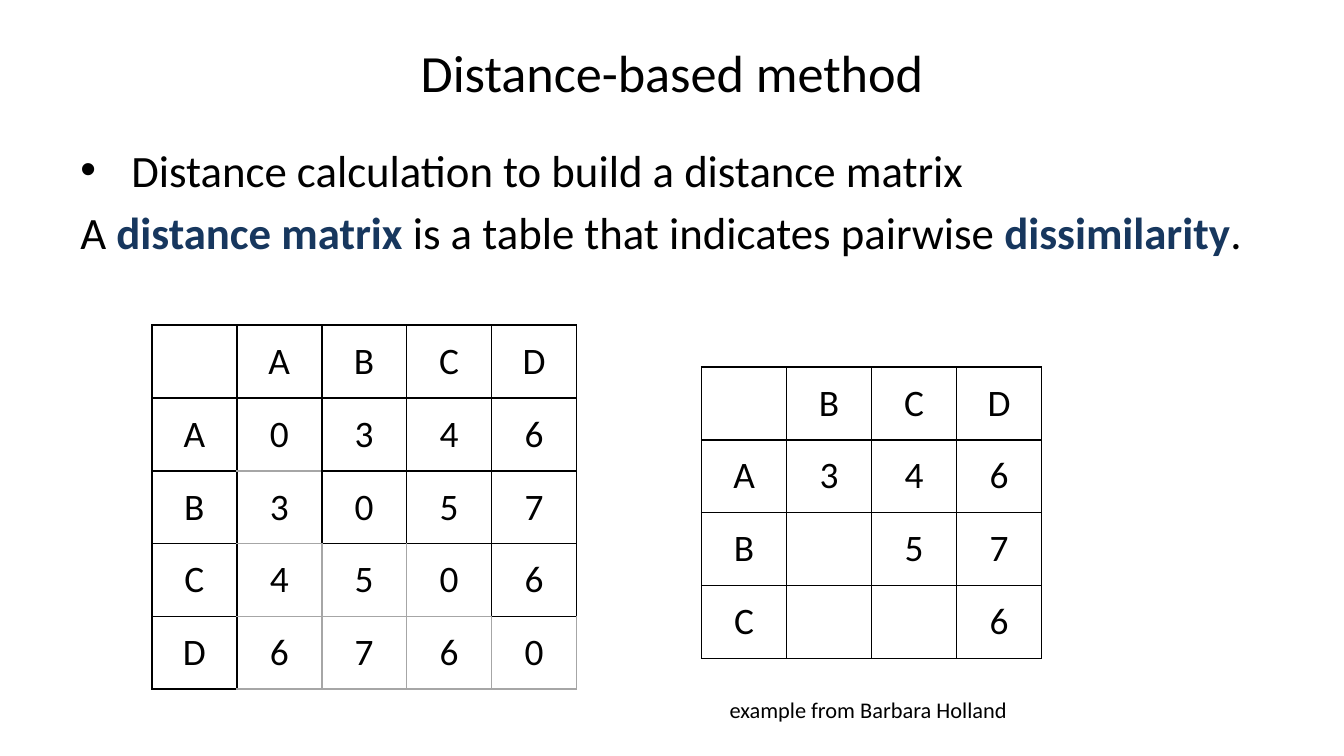
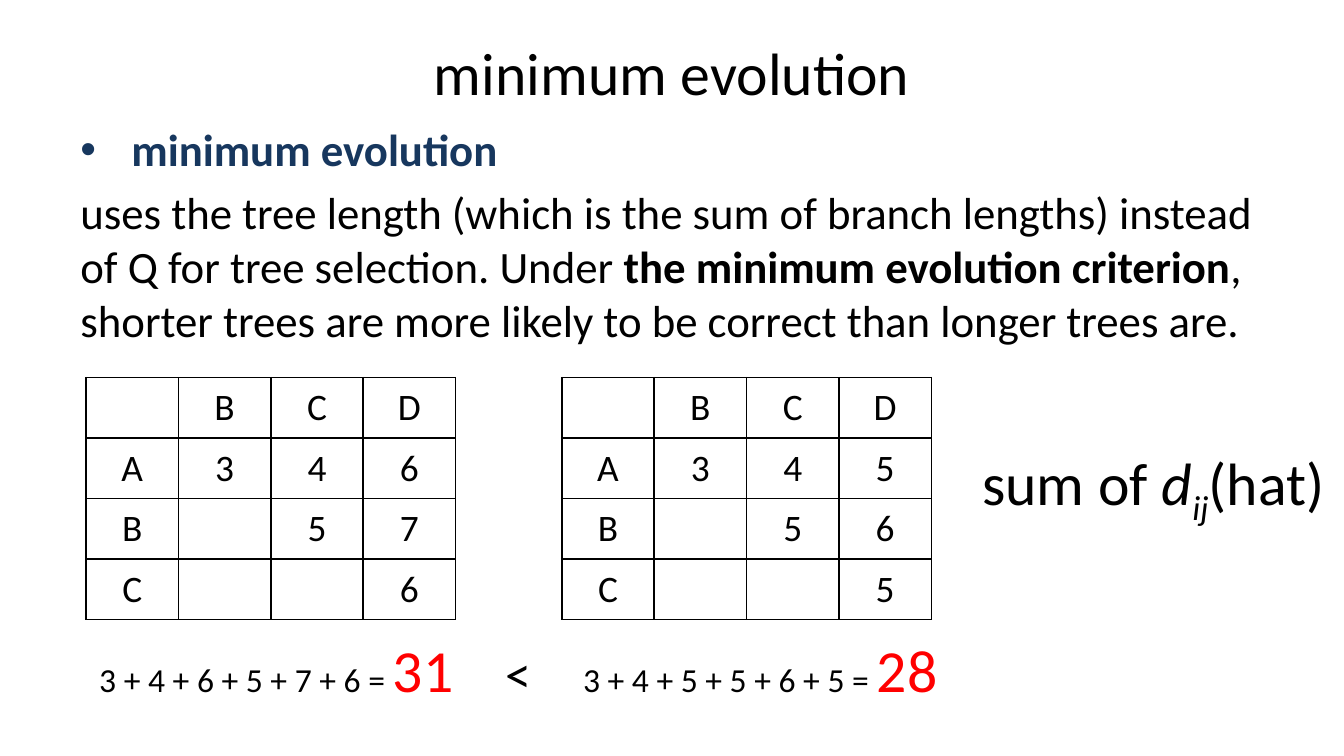
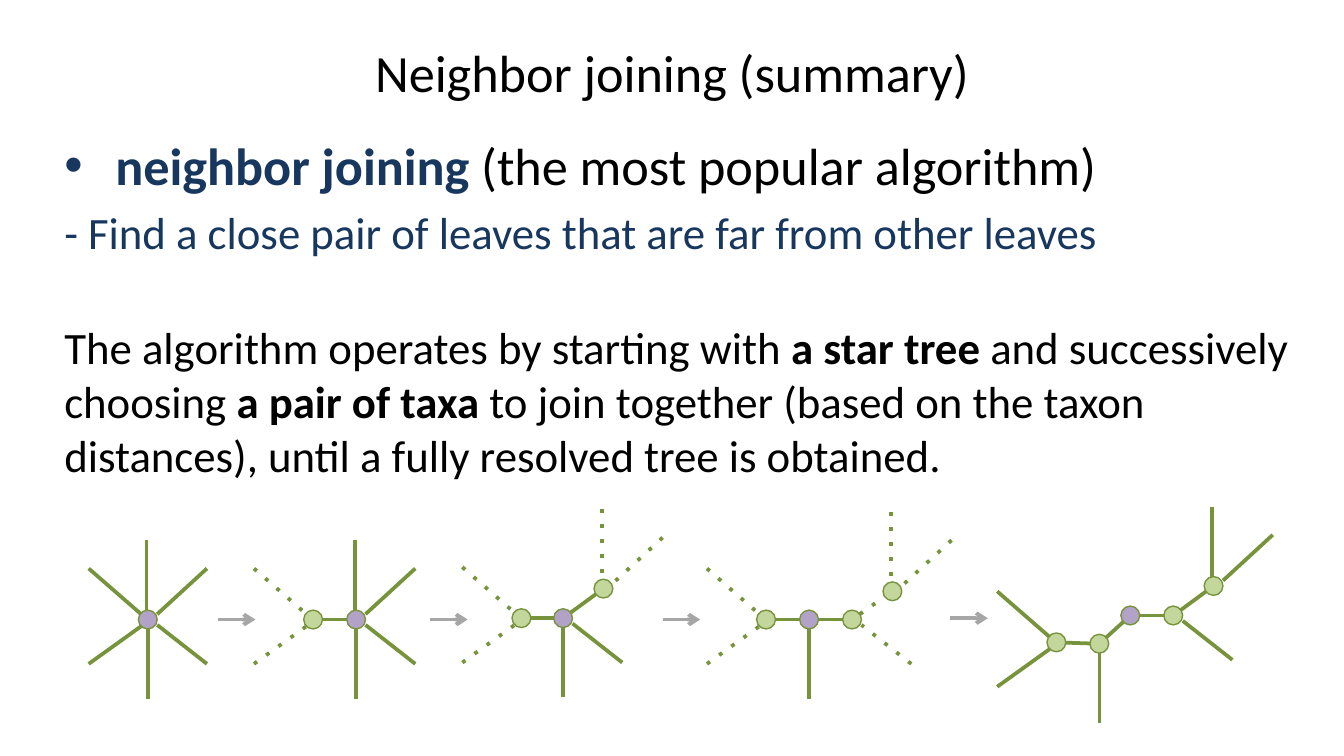
import math

from pptx import Presentation
from pptx import util as u
from pptx.dml.color import RGBColor
from pptx.enum import shapes, text
from pptx.oxml import ns
from lxml import etree

# Shared look
FONT = "Calibri"
BLACK, NAVY, RED, GREY = "000000", "17375E", "FF0000", "A6A6A6"
GREEN, HUB, LEAF = "77933C", "B3A2C7", "C3D69B"
RADIUS = 0.07

# Outer and inner ends of a branch, measured from its node
BRANCHES = {
    "N": ((-0.01, -0.59), (-0.01, -0.07)),
    "S": ((0, 0.59), (0, 0.07)),
    "NE": ((0.44, -0.38), (0.07, -0.04)),
    "SE": ((0.44, 0.33), (0.07, 0.04)),
    "NW": ((-0.44, -0.38), (-0.05, -0.04)),
    "SW": ((-0.44, 0.33), (-0.05, 0.05)),
}

# Sides of full-matrix cells (row, column) that are grey
GREY_SIDES = {
    (1, 1): "B", (2, 1): "TB", (3, 1): "TRB", (3, 2): "LRB", (3, 3): "LB",
    (4, 1): "TRB", (4, 2): "LTRB", (4, 3): "LTRB", (4, 4): "LRB",
}

# Each tree: nodes (hub first), joints and branches; "dot" marks dotted lines
TREES = [
    {"nodes": {"hub": (1.1, 4.61)},
     "joints": [],
     "branches": {"hub": ["N", "S", "NE", "NW", "SE", "SW"]}},
    {"nodes": {"hub": (2.65, 4.61), "left": (2.33, 4.61)},
     "joints": [("hub", "left")],
     "branches": {"hub": ["N", "S", "NE", "SE"], "left": ["NW dot", "SW dot"]},
     "arrow": (1.62, 4.61)},
    {"nodes": {"hub": (4.19, 4.6), "left": (3.88, 4.6), "top": (4.49, 4.38)},
     "joints": [("hub", "left"), ("hub", "top")],
     "branches": {"hub": ["S", "SE"], "left": ["NW dot", "SW dot"],
                  "top": ["N dot", "NE dot"]},
     "arrow": (3.2, 4.61)},
    {"nodes": {"hub": (6.02, 4.61), "left": (5.7, 4.61), "right": (6.34, 4.61),
               "top": (6.64, 4.4)},
     "joints": [("hub", "left"), ("hub", "right"), ("right", "top", "dot")],
     "branches": {"hub": ["S"], "left": ["NW dot", "SW dot"],
                  "right": ["SE dot"], "top": ["N dot", "NE dot"]},
     "arrow": (4.93, 4.61)},
    {"nodes": {"hub": (8.41, 4.58), "low": (8.18, 4.79), "left": (7.86, 4.78),
               "right": (8.73, 4.58), "top": (9.03, 4.36)},
     "joints": [("hub", "low"), ("low", "left"), ("hub", "right"), ("right", "top")],
     "branches": {"low": ["S"], "left": ["NW", "SW"], "right": ["SE"],
                  "top": ["N", "NE"]},
     "arrow": (7.07, 4.6)},
]


def rgb(color):
    return RGBColor.from_string(color)


def inches(*values):
    return [u.Inches(v) for v in values]


# Text
def add_run(p, words, size, color=BLACK, bold=False, italic=False, base=0):
    r = p.add_run()
    r.text = words
    r.font.name, r.font.size = FONT, u.Pt(size)
    r.font.bold, r.font.italic = bold, italic
    r.font.color.rgb = rgb(color)
    if base:
        r._r.get_or_add_rPr().set("baseline", str(base * 1000))


def add_bullet(p):
    pPr = p._p.get_or_add_pPr()
    pPr.set("marL", str(u.Inches(0.38)))
    pPr.set("indent", str(-u.Inches(0.38)))
    etree.SubElement(pPr, ns.qn("a:buFont")).set("typeface", "Arial")
    etree.SubElement(pPr, ns.qn("a:buChar")).set("char", "•")


def text_box(s, box, wrap=True):
    tf = s.shapes.add_textbox(*inches(*box)).text_frame
    tf.word_wrap = wrap
    return tf


def add_title(s, words, size=28):
    tf = text_box(s, (0.5, 0.22, 9, 0.63))
    tf.vertical_anchor = text.MSO_ANCHOR.MIDDLE
    p = tf.paragraphs[0]
    p.alignment = text.PP_ALIGN.CENTER
    add_run(p, words, size)


def add_body(s, box, paragraphs):
    """Paragraphs are (space before, runs); the first one has a bullet."""
    tf = text_box(s, box)
    for i, (before, runs) in enumerate(paragraphs):
        p = tf.add_paragraph() if i else tf.paragraphs[0]
        if not i:
            add_bullet(p)
        p.space_before = u.Pt(before)
        for words, size, *style in runs:
            add_run(p, words, size, *style)


def add_label(s, box, runs):
    tf = text_box(s, box, wrap=False)
    tf.auto_size = text.MSO_AUTO_SIZE.SHAPE_TO_FIT_TEXT
    for words, size, *style in runs:
        add_run(tf.paragraphs[0], words, size, *style)


# Distance matrices
def set_border(cell, side, color):
    ln = etree.SubElement(cell._tc.get_or_add_tcPr(), ns.qn("a:ln" + side))
    ln.set("w", str(u.Pt(1)))
    fill = etree.SubElement(ln, ns.qn("a:solidFill"))
    etree.SubElement(fill, ns.qn("a:srgbClr")).set("val", color)


def add_matrix(s, box, rows, grey_sides=None):
    """Each row is a string with one character per cell."""
    n = len(rows)
    table = s.shapes.add_table(n, n, *inches(*box)).table
    table.first_row = table.horz_banding = False
    for i, row in enumerate(rows):
        table.rows[i].height = u.Inches(box[3] / n)
        table.columns[i].width = u.Inches(box[2] / n)
        for j, value in enumerate(row):
            cell = table.cell(i, j)
            grey = (grey_sides or {}).get((i, j), "")
            for side in "LRTB":
                set_border(cell, side, GREY if side in grey else BLACK)
            cell.fill.background()
            cell.vertical_anchor = text.MSO_ANCHOR.MIDDLE
            p = cell.text_frame.paragraphs[0]
            p.alignment = text.PP_ALIGN.CENTER
            if value != " ":
                add_run(p, value, 20)


# Trees
def add_line(group, start, end, color=GREEN, dotted=False, arrow=False):
    line = group.shapes.add_connector(
        shapes.MSO_CONNECTOR.STRAIGHT, *inches(*start, *end))
    line.line.color.rgb = rgb(color)
    line.line.width = u.Pt(2)
    ln = line.line._get_or_add_ln()
    if dotted:
        etree.SubElement(ln, ns.qn("a:prstDash")).set("val", "dot")
    if arrow:
        etree.SubElement(ln, ns.qn("a:tailEnd")).set("type", "arrow")
    etree.SubElement(line._element.spPr, ns.qn("a:effectLst"))


def add_joint(group, a, b, dotted):
    """Join the rims of two nodes."""
    scale = RADIUS / math.dist(a, b)
    dx, dy = (b[0] - a[0]) * scale, (b[1] - a[1]) * scale
    add_line(group, (a[0] + dx, a[1] + dy), (b[0] - dx, b[1] - dy), dotted=dotted)


def add_node(group, center, color):
    x, y = center
    sp = group.shapes.add_shape(
        shapes.MSO_SHAPE.OVAL,
        *inches(x - RADIUS, y - RADIUS, 2 * RADIUS, 2 * RADIUS))
    sp.shadow.inherit = False
    sp.fill.solid()
    sp.fill.fore_color.rgb = rgb(color)
    sp.line.color.rgb = rgb(GREEN)
    sp.line.width = u.Pt(0.75)


def add_tree(s, tree):
    group = s.shapes.add_group_shape()
    nodes = tree["nodes"]
    for name, branches in tree["branches"].items():
        x, y = nodes[name]
        for branch in branches:
            direction, *dot = branch.split()
            outer, inner = BRANCHES[direction]
            add_line(group, (x + outer[0], y + outer[1]),
                     (x + inner[0], y + inner[1]), dotted=bool(dot))
    for a, b, *dot in tree["joints"]:
        add_joint(group, nodes[a], nodes[b], bool(dot))
    for name, center in nodes.items():
        add_node(group, center, HUB if name == "hub" else LEAF)
    if "arrow" in tree:
        x, y = tree["arrow"]
        add_line(group, (x, y), (x + 0.28, y), GREY, arrow=True)


# Slides
def distance_slide(s):
    add_title(s, "Distance-based method")
    add_body(s, (0.5, 1.01, 9.03, 1.02), [
        (0, [("Distance calculation to build a distance matrix", 24)]),
        (4.8, [("A ", 24), ("distance matrix ", 24, NAVY, True),
               ("is a table that indicates pairwise ", 24),
               ("dissimilarity", 24, NAVY, True), (".", 24)]),
    ])
    add_matrix(s, (1.13, 2.42, 3.16, 2.71),
               [" ABCD", "A0346", "B3057", "C4506", "D6760"], GREY_SIDES)
    add_label(s, (5.33, 5.13, 2.3, 0.3), [("example from Barbara Holland", 12)])
    add_matrix(s, (5.22, 2.73, 2.53, 2.17), [" BCD", "A346", "B 57", "C  6"])


def evolution_slide(s):
    add_title(s, "minimum evolution", 32)
    add_body(s, (0.5, 0.86, 9, 1.81), [
        (0, [("minimum evolution", 24, NAVY, True)]),
        (4.8, [("uses the tree length (which is the sum of branch lengths) "
                "instead of Q for tree selection. Under ", 24),
               ("the minimum evolution criterion", 24, BLACK, True),
               (", shorter trees are more likely to be correct than "
                "longer trees are.", 24)]),
    ])
    add_label(s, (7.21, 3.27, 2.79, 0.64), [
        ("sum of ", 32), ("d", 32, BLACK, False, True),
        ("ij", 32, BLACK, False, True, -25), ("(hat)", 32)])
    sums = [
        (0.64, 0.64, [" BCD", "A346", "B 57", "C  6"], "3 + 4 + 6 + 5 + 7 + 6 = ", "31"),
        (4.18, 4.24, [" BCD", "A345", "B 56", "C  5"], "3 + 4 + 5 + 5 + 6 + 5 = ", "28"),
    ]
    for matrix_x, sum_x, rows, terms, total in sums:
        add_matrix(s, (matrix_x, 2.81, 2.75, 1.8), rows)
        add_label(s, (sum_x, 4.66, 2.86, 0.64), [(terms, 18), (total, 32, RED)])
    add_label(s, (3.66, 4.72, 0.4, 0.57), [("<", 28)])


def joining_slide(s):
    add_title(s, "Neighbor joining (summary)")
    add_body(s, (0.38, 0.94, 9.39, 2.96), [
        (0, [("neighbor joining ", 28, NAVY, True),
             ("(the most popular algorithm)", 28)]),
        (4.8, [("- Find a close pair of leaves that are far from other leaves",
                24, NAVY)]),
        (33, [("The algorithm operates by starting with ", 24),
              ("a star tree ", 24, BLACK, True),
              ("and successively choosing ", 24),
              ("a pair of taxa ", 24, BLACK, True),
              ("to join together (based on the taxon distances), until a "
               "fully resolved tree is obtained.", 24)]),
    ])
    for tree in TREES:
        add_tree(s, tree)


def main():
    prs = Presentation()
    # Widescreen, 16:9
    prs.slide_width, prs.slide_height = inches(10, 10 * 9 / 16)
    for build in (distance_slide, evolution_slide, joining_slide):
        build(prs.slides.add_slide(prs.slide_layouts[6]))
    prs.save("out.pptx")


if __name__ == "__main__":
    main()
